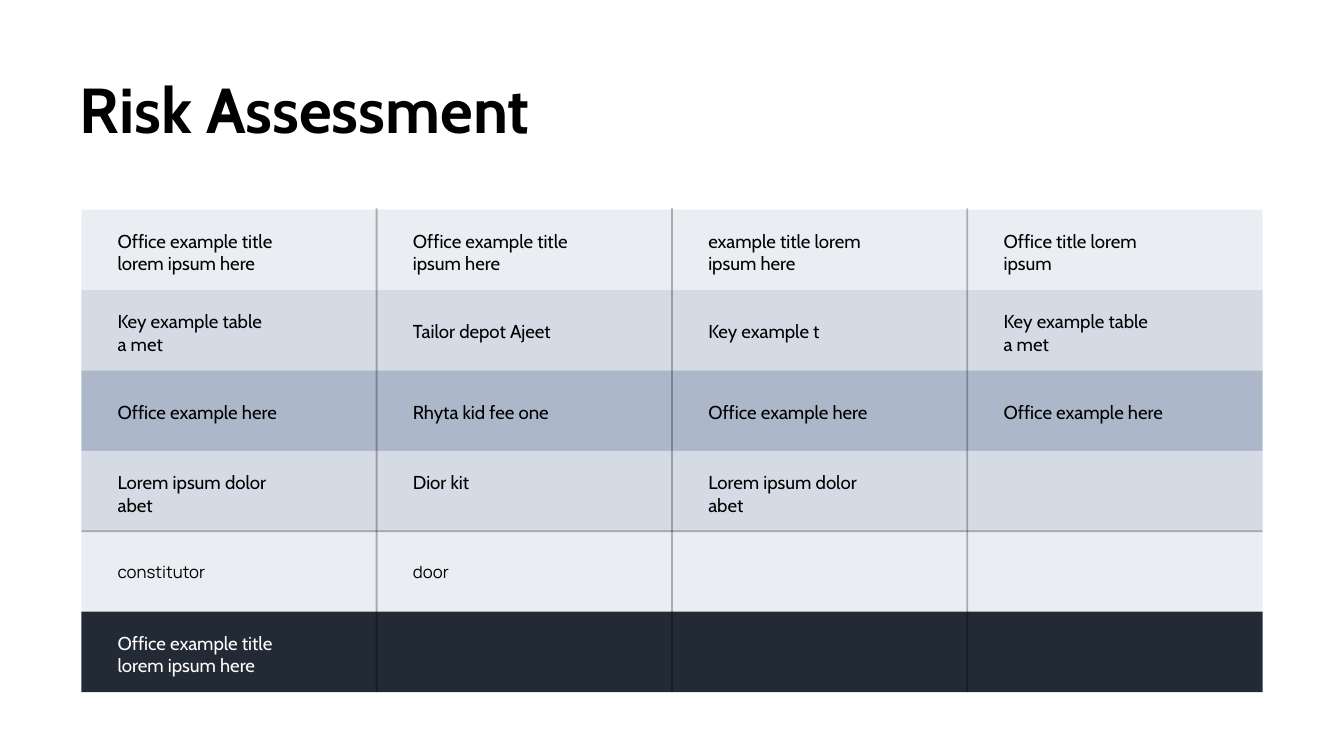
from lxml import etree
from pptx import Presentation
from pptx.dml.color import RGBColor
from pptx.enum.shapes import MSO_CONNECTOR, MSO_SHAPE
from pptx.enum.text import MSO_AUTO_SIZE
from pptx.oxml.ns import qn
from pptx.util import Inches, Pt

RECTANGLE = MSO_SHAPE.RECTANGLE
STRAIGHT = MSO_CONNECTOR.STRAIGHT
FIT_SHAPE = MSO_AUTO_SIZE.SHAPE_TO_FIT_TEXT
NO_FIT = MSO_AUTO_SIZE.NONE

COLORS = {"pale": "D5DBE5", "steel": "ACB8CA", "navy": "222A35",
          "black": "000000", "white": "FFFFFF"}
TITLE = {"name": "Cabin", "size": Pt(34), "bold": True}
BODY = {"name": "Cabin", "size": Pt(10)}
SMALL = {"name": "Manrope", "size": Pt(9)}
FRAME = {"margin_left": Inches(0.07), "margin_right": Inches(0.07),
         "margin_top": Inches(0.04), "margin_bottom": Inches(0.04),
         "word_wrap": True}

# Widescreen page and a horizontally centred grid, in inches
PAGE_WIDTH = 10
PAGE_HEIGHT = PAGE_WIDTH * 9 / 16
GRID_WIDTH, TOP, BOTTOM = 8.79, 1.56, 5.15
LEFT = (PAGE_WIDTH - GRID_WIDTH) / 2
RIGHT = LEFT + GRID_WIDTH
COLUMN_COUNT, ROW_COUNT = 4, 6
COLUMN = GRID_WIDTH / COLUMN_COUNT
ROW = (BOTTOM - TOP) / ROW_COUNT
LABEL_INDENT, LABEL_WIDTH, LABEL_DROP = 0.2, 1.51, 0.01
ONE_LINE, TWO_LINES = 0.25, 0.4

# Each row: fill, opacity in percent, text colour, format, cells.
# Each cell: paragraphs and height of its text box.
ROWS = [
    ("pale", 48, "black", BODY, [
        (["Office example title lorem ipsum here"], TWO_LINES),
        (["Office example title ipsum here"], TWO_LINES),
        (["example title lorem ipsum here"], TWO_LINES),
        (["Office title lorem ipsum"], TWO_LINES)]),
    ("pale", 100, "black", BODY, [
        (["Key example table", "a met"], TWO_LINES),
        (["Tailor depot Ajeet"], ONE_LINE),
        (["Key example t"], ONE_LINE),
        (["Key example table", "a met"], TWO_LINES)]),
    ("steel", 100, "black", BODY, [
        (["Office example here"], ONE_LINE),
        (["Rhyta kid fee one"], ONE_LINE),
        (["Office example here"], ONE_LINE),
        (["Office example here"], ONE_LINE)]),
    ("pale", 100, "black", BODY, [
        (["Lorem ipsum dolor abet"], TWO_LINES),
        (["Dior kit"], TWO_LINES),
        (["Lorem ipsum dolor abet"], TWO_LINES)]),
    ("pale", 48, "black", SMALL, [
        (["constitutor"], ONE_LINE),
        (["door"], ONE_LINE)]),
    ("navy", 100, "white", BODY, [
        (["Office example title lorem ipsum here"], TWO_LINES)]),
]


def paint(fill, color, shape, opacity):
    """Fill with a solid colour, translucent below 100 percent."""
    fill.solid()
    fill.fore_color.rgb = RGBColor.from_string(COLORS[color])
    if opacity < 100:
        tint = next(shape._element.spPr.iter(qn("a:srgbClr")))
        etree.SubElement(tint, qn("a:alpha")).set("val", str(opacity * 1000))


def add_band(page, top, color, opacity):
    band = page.shapes.add_shape(RECTANGLE, Inches(LEFT), Inches(top),
                                 Inches(GRID_WIDTH), Inches(ROW))
    band.shadow.inherit = False
    band.line.fill.background()
    paint(band.fill, color, band, opacity)


def add_rule(page, x1, y1, x2, y2):
    rule = page.shapes.add_connector(STRAIGHT, Inches(x1), Inches(y1),
                                     Inches(x2), Inches(y2))
    rule.line.width = Pt(1)
    paint(rule.line.fill, "black", rule, 28)
    etree.SubElement(rule._element.spPr, qn("a:effectLst"))


def add_text(page, place, paragraphs, color, style, fit=NO_FIT):
    box = page.shapes.add_textbox(*(Inches(length) for length in place))
    frame = box.text_frame
    for name, value in FRAME.items():
        setattr(frame, name, value)
    frame.auto_size = fit
    for index, text in enumerate(paragraphs):
        para = frame.add_paragraph() if index else frame.paragraphs[0]
        span = para.add_run()
        span.text = text
        for name, value in style.items():
            setattr(span.font, name, value)
        span.font.color.rgb = RGBColor.from_string(COLORS[color])


def main():
    deck = Presentation()
    deck.slide_width = Inches(PAGE_WIDTH)
    deck.slide_height = Inches(PAGE_HEIGHT)
    page = deck.slides.add_slide(deck.slide_layouts[6])

    # Title
    add_text(page, (LEFT - 0.08, 0.48, 8.07, 0.65), ["Risk Assessment"],
             "black", TITLE)

    # Row bands
    for row, (fill, opacity, *_) in enumerate(ROWS):
        add_band(page, TOP + row * ROW, fill, opacity)

    # Column dividers and the line under the fourth row
    for column in range(1, COLUMN_COUNT):
        x = LEFT + column * COLUMN
        add_rule(page, x, TOP - 0.01, x, BOTTOM)
    divider = TOP + 4 * ROW
    add_rule(page, LEFT, divider, RIGHT, divider)

    # Cell labels, centred in their rows with a slight drop
    for row, (_, _, color, style, cells) in enumerate(ROWS):
        for column, (paragraphs, height) in enumerate(cells):
            x = LEFT + column * COLUMN + LABEL_INDENT
            y = TOP + row * ROW + (ROW - height) / 2 + LABEL_DROP
            add_text(page, (x, y, LABEL_WIDTH, height), paragraphs,
                     color, style, FIT_SHAPE)

    deck.save("out.pptx")


if __name__ == "__main__":
    main()
